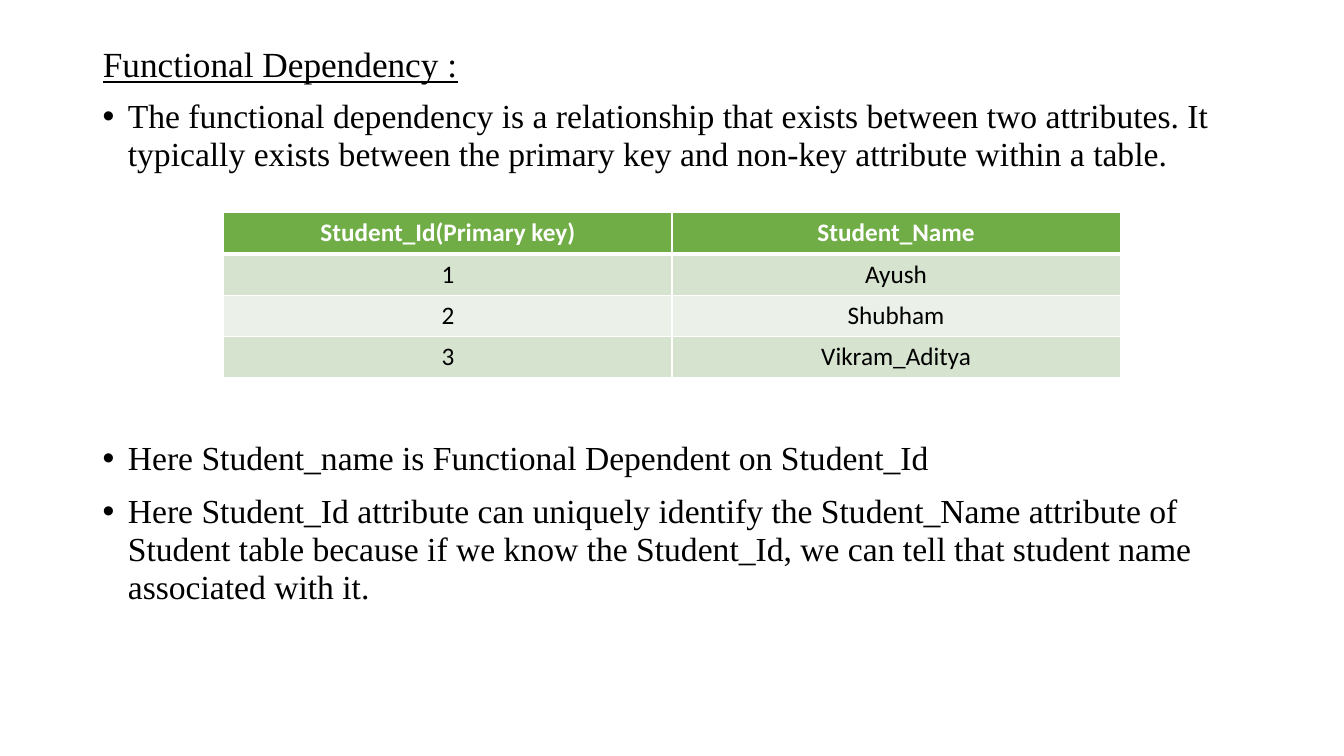
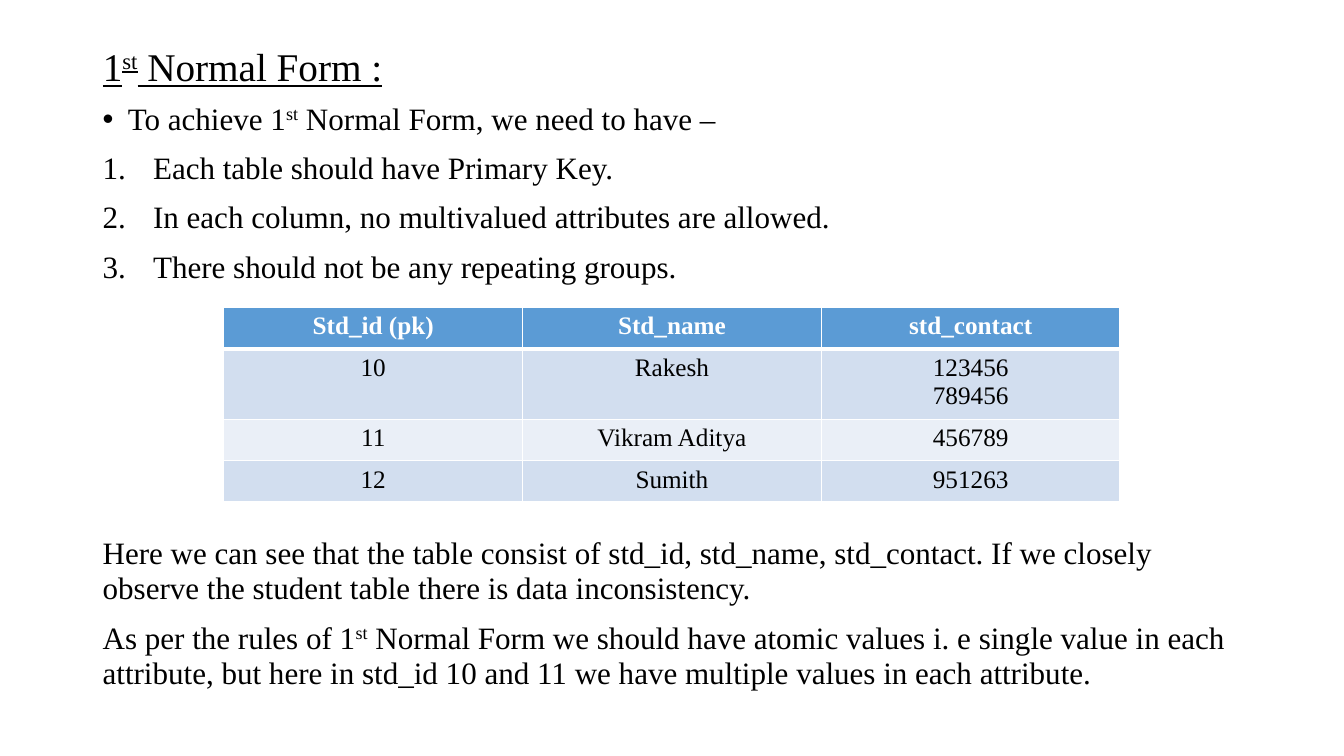
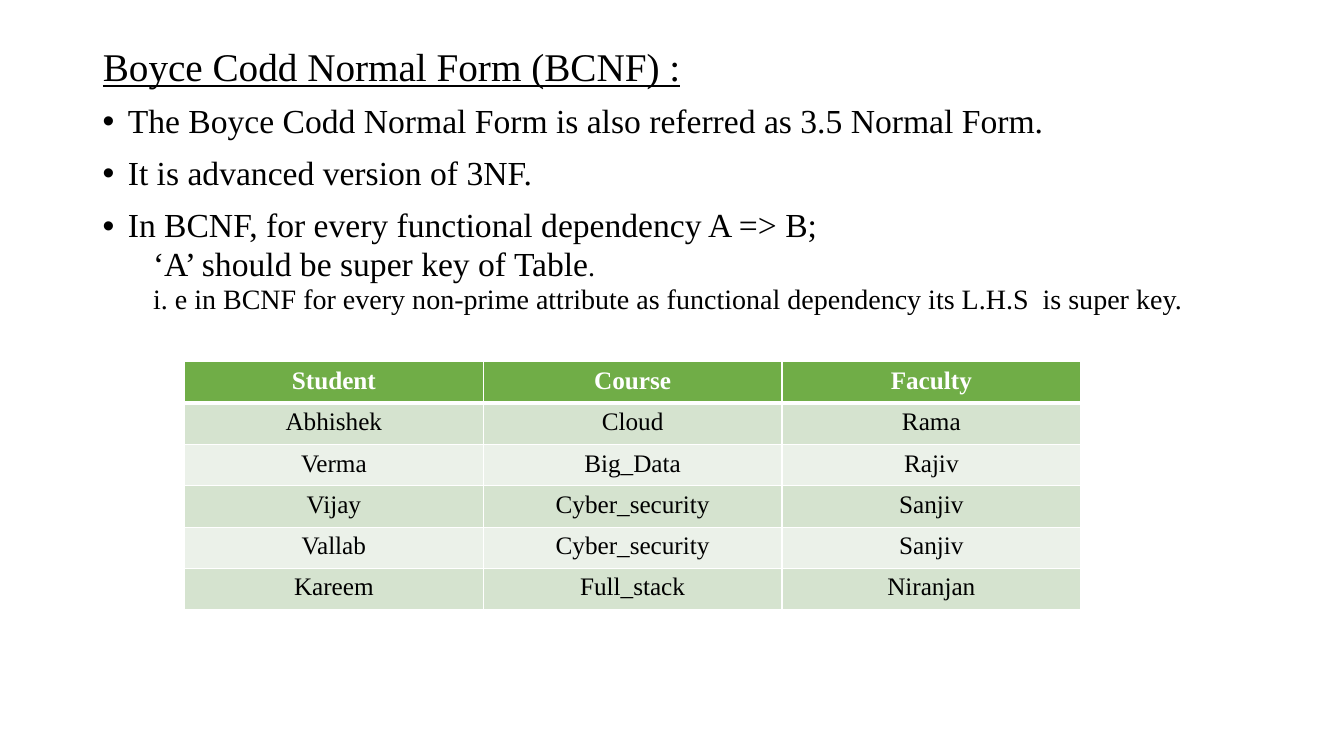
from pptx import Presentation
from pptx.dml.color import RGBColor
from pptx.enum.text import MSO_ANCHOR, MSO_AUTO_SIZE, PP_ALIGN
from pptx.oxml.ns import qn
from pptx.util import Inches, Pt
from lxml.etree import SubElement

COLORS = {"text": "000000", "white": "FFFFFF"}
GREEN = {"head": "70AD47", "odd": "D5E3CF", "even": "EBF1E9"}
BLUE = {"head": "5B9BD5", "odd": "D2DEEF", "even": "EAEFF7"}
SERIF, SANS = "Times New Roman", "Calibri"
LEFT, TOP, WIDTH, BOTTOM = 0.92, 0.4, 11.5, 6.76
TABLE_WIDTH, ROW_HEIGHT, EXTRA_LINE = 8.89, 0.41, 0.24
INDENTS = {"bullet": 0.25, "number": 0.5, "plain": 0}

SLIDES = [
    {
        "title": ["Functional Dependency :"], "title_size": 25.2, "title_height": 0.52,
        "size": 24,
        "body": [
            ("bullet", 10, ["The functional dependency is a relationship that exists between two "
                            "attributes. It typically exists between the primary key and non-key "
                            "attribute within a table."]),
            ("bullet", 190, ["Here Student_name is Functional Dependent on Student_Id"]),
            ("bullet", 10, ["Here Student_Id attribute can uniquely identify the Student_Name "
                            "attribute of Student table because if we know the Student_Id, we can "
                            "tell that student name associated with it."]),
        ],
        "table_at": (2.22, 2.11), "table_font": SANS, "palette": GREEN,
        "rows": [
            ("Student_Id(Primary key)", "Student_Name"),
            ("1", "Ayush"),
            ("2", "Shubham"),
            ("3", "Vikram_Aditya"),
        ],
    },
    {
        "title": ["1", ("st", "super"), " Normal Form :"], "title_size": 28, "title_height": 0.56,
        "size": 22.2,
        "body": [
            ("bullet", 10, ["To achieve 1", ("st", "super"), " Normal Form, we need to have –"]),
            ("number", 10, ["Each table should have Primary Key."]),
            ("number", 10, ["In each column, no multivalued attributes are allowed."]),
            ("number", 10, ["There should not be any repeating groups."]),
            ("plain", 179, ["Here we can see that the table consist of std_id, std_name, "
                            "std_contact. If we closely observe the student table there is data "
                            "inconsistency."]),
            ("plain", 10, ["As per the rules of 1", ("st", "super"),
                           " Normal Form we should have atomic values i. e single value in each "
                           "attribute, but here in std_id 10 and 11 we have multiple values in "
                           "each attribute."]),
        ],
        "table_at": (2.22, 3.05), "table_font": SERIF, "palette": BLUE,
        "rows": [
            ("Std_id (pk)", "Std_name", "std_contact"),
            ("10", "Rakesh", "123456\n789456"),
            ("11", "Vikram Aditya", "456789"),
            ("12", "Sumith", "951263"),
        ],
    },
    {
        "title": ["Boyce Codd Normal Form (BCNF) :"], "title_size": 28, "title_height": 0.57,
        "size": 24,
        "body": [
            ("bullet", 10, ["The Boyce Codd Normal Form is also referred as 3.5 Normal Form."]),
            ("bullet", 10, ["It is advanced version of 3NF."]),
            ("bullet", 10, ["In BCNF, for every functional dependency A => B;\n"
                            "\t‘A’ should be super key of Table",
                            (".\n\ti. e in BCNF for every non-prime attribute as functional "
                             "dependency its L.H.S  is super key.", "small")]),
        ],
        "table_at": (1.83, 3.59), "table_font": SERIF, "palette": GREEN,
        "rows": [
            ("Student", "Course", "Faculty"),
            ("Abhishek", "Cloud", "Rama"),
            ("Verma", "Big_Data", "Rajiv"),
            ("Vijay", "Cyber_security", "Sanjiv"),
            ("Vallab", "Cyber_security", "Sanjiv"),
            ("Kareem", "Full_stack", "Niranjan"),
        ],
    },
]


def style(r, size, font=SERIF, color="text", bold=False):
    r.font.size, r.font.name, r.font.bold = Pt(size), font, bold
    r.font.color.rgb = RGBColor.from_string(COLORS[color])


def add_runs(p, runs, size, underline=False):
    for run in runs:
        text, kind = run if isinstance(run, tuple) else (run, "")
        for i, line in enumerate(text.split("\n")):
            if i:
                p.add_line_break()
            r = p.add_run()
            r.text = line
            style(r, 20 if kind == "small" else size)
            if underline:
                r.font.underline = True
            if kind == "super":
                r.font._element.set("baseline", "30000")


def set_marker(p, kind):
    indent = Inches(INDENTS[kind])
    pPr = p._p.get_or_add_pPr()
    pPr.set("marL", str(indent))
    pPr.set("indent", str(-indent))
    if kind == "bullet":
        SubElement(pPr, qn("a:buFont"), typeface="Arial")
        SubElement(pPr, qn("a:buChar"), char="•")
    elif kind == "number":
        SubElement(pPr, qn("a:buFont"), typeface=SERIF)
        SubElement(pPr, qn("a:buAutoNum"), type="arabicPeriod")


def add_title(slide, data):
    sp = slide.shapes.title
    sp.left, sp.top = Inches(LEFT), Inches(TOP)
    sp.width, sp.height = Inches(WIDTH), Inches(data["title_height"])
    tf = sp.text_frame
    tf.auto_size = MSO_AUTO_SIZE.NONE
    tf.vertical_anchor = MSO_ANCHOR.MIDDLE
    p = tf.paragraphs[0]
    p.alignment, p.line_spacing = PP_ALIGN.LEFT, 0.9
    add_runs(p, data["title"], data["title_size"], underline=True)


def add_body(slide, data):
    top = TOP + data["title_height"]
    sp = slide.shapes.add_textbox(Inches(LEFT), Inches(top), Inches(WIDTH), Inches(BOTTOM - top))
    tf = sp.text_frame
    tf.word_wrap = True
    for i, (kind, gap, runs) in enumerate(data["body"]):
        p = tf.add_paragraph() if i else tf.paragraphs[0]
        p.line_spacing = 0.95
        p.space_before = Pt(gap if i else 0)
        set_marker(p, kind)
        add_runs(p, runs, data["size"])


def set_borders(cell, header):
    tcPr = cell._tc.get_or_add_tcPr()
    for i, side in enumerate(("lnL", "lnR", "lnT", "lnB")):
        width = Pt(3 if header and side == "lnB" else 1)
        ln = tcPr.makeelement(qn("a:" + side), {"w": str(width)})
        fill = SubElement(ln, qn("a:solidFill"))
        SubElement(fill, qn("a:srgbClr"), val=COLORS["white"])
        tcPr.insert(i, ln)


def add_grid(slide, data):
    rows, (left, top) = data["rows"], data["table_at"]
    heights = [ROW_HEIGHT + EXTRA_LINE * max(t.count("\n") for t in row) for row in rows]
    table = slide.shapes.add_table(len(rows), len(rows[0]), Inches(left), Inches(top),
                                   Inches(TABLE_WIDTH), Inches(sum(heights))).table
    for i, row in enumerate(rows):
        table.rows[i].height = Inches(heights[i])
        band = "head" if i == 0 else "odd" if i % 2 else "even"
        for j, text in enumerate(row):
            cell = table.cell(i, j)
            cell.fill.solid()
            cell.fill.fore_color.rgb = RGBColor.from_string(data["palette"][band])
            set_borders(cell, i == 0)
            cell.text_frame.text = text
            for p in cell.text_frame.paragraphs:
                p.alignment = PP_ALIGN.CENTER
                style(p.runs[0], 18, data["table_font"], "text" if i else "white", i == 0)


prs = Presentation()
prs.slide_width, prs.slide_height = Inches(13.33), Inches(7.5)
for data in SLIDES:
    slide = prs.slides.add_slide(prs.slide_layouts[5])
    add_title(slide, data)
    add_body(slide, data)
    add_grid(slide, data)
prs.save("out.pptx")
